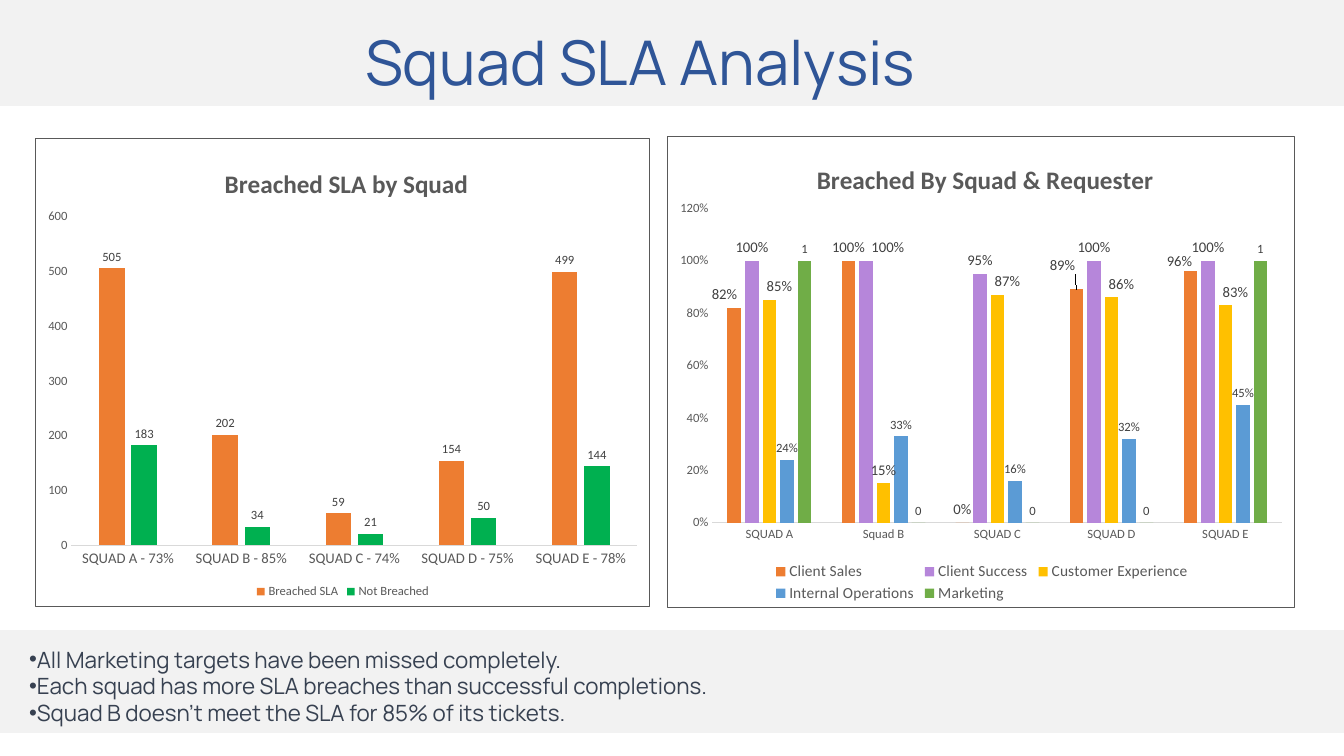
from lxml.etree import SubElement
from pptx import Presentation
from pptx.chart.data import CategoryChartData
from pptx.dml.color import RGBColor
from pptx.enum.chart import XL_CHART_TYPE as ChartType
from pptx.enum.chart import XL_LABEL_POSITION as LabelPosition
from pptx.enum.chart import XL_LEGEND_POSITION as LegendPosition
from pptx.enum.chart import XL_TICK_MARK as TickMark
from pptx.enum.shapes import MSO_SHAPE as Shape
from pptx.enum.text import MSO_ANCHOR as Anchor
from pptx.enum.text import MSO_AUTO_SIZE as AutoSize
from pptx.enum.text import PP_ALIGN as Align
from pptx.oxml import parse_xml
from pptx.oxml.ns import nsdecls, qn
from pptx.util import Pt

PX = 914400 / 100.8
COLORS = {
    "band": "F2F2F2", "footer": "BFBFBF", "title": "2F5597", "body": "374151",
    "chart_text": "595959", "label": "404040", "axis": "D9D9D9",
    "orange": "ED7D31", "green": "00B050", "purple": "B686DA",
    "yellow": "FFC000", "blue": "5B9BD5", "grass": "70AD47",
}


def style_font(font, size, color, name="Calibri", bold=False):
    font.size, font.name, font.bold = Pt(size), name, bold
    font.color.rgb = RGBColor.from_string(COLORS[color])


def layout_xml(target=None, **values):
    items = [f'<c:layoutTarget val="{target}"/>'] if target else []
    if target or "w" in values:
        items += ['<c:xMode val="edge"/>', '<c:yMode val="edge"/>']
    elif values.pop("edge", False):
        items += ['<c:xMode val="edge"/>', '<c:yMode val="edge"/>']
    items += [f'<c:{key} val="{value:.4f}"/>' for key, value in values.items()]
    return parse_xml(f'<c:layout {nsdecls("c")}><c:manualLayout>{"".join(items)}'
                     '</c:manualLayout></c:layout>')


presentation = Presentation()
presentation.slide_width = round(1344 * PX)
presentation.slide_height = round(756 * PX)
slide = presentation.slides.add_slide(presentation.slide_layouts[1])

for order, (top, height, color) in enumerate([(0, 106, "band"), (630, 103, "footer")]):
    band = slide.shapes.add_shape(Shape.RECTANGLE, 0, round(top * PX),
                                  presentation.slide_width, round(height * PX))
    band.shadow.inherit = False
    band.fill.solid()
    band.fill.fore_color.rgb = RGBColor.from_string(COLORS[color])
    band.line.fill.background()
    if color == "footer":
        fill_color = band._element.spPr.find(qn("a:solidFill"))[0]
        SubElement(fill_color, qn("a:alpha"), val="20000")
    slide.shapes._spTree.insert(2 + order, band._element)

title, body = slide.placeholders
texts = [
    (title, (355, 16, 635, 86), ["Squad SLA Analysis"], 44, "title", 55),
    (body, (19, 641, 1281, 92), [
        "All Marketing targets have been missed completely.",
        "Each squad has more SLA breaches than successful completions.",
        "Squad B doesn't meet the SLA for 85% of its tickets.",
    ], 16, "body", 19),
]
for shape, box, lines, size, color, spacing in texts:
    shape.left, shape.top, shape.width, shape.height = [round(value * PX) for value in box]
    frame = shape.text_frame
    frame.text = "\n".join(lines)
    frame.auto_size = AutoSize.NONE
    frame.word_wrap = shape is body
    frame.vertical_anchor = Anchor.TOP
    for paragraph in frame.paragraphs:
        paragraph.alignment = Align.LEFT
        paragraph.line_spacing = Pt(spacing)
        paragraph.space_before = Pt(0)
        style_font(paragraph.font, size, color, "Manrope")
        if shape is body:
            properties = paragraph._p.get_or_add_pPr()
            properties.set("marL", "0")
            properties.set("indent", "0")
            bullet = parse_xml(f'<a:buChar {nsdecls("a")} char="•"/>')
            properties.find(qn("a:defRPr")).addprevious(bullet)

charts = [
    {
        "title": "Breached By Squad & Requester", "title_at": (812, 157),
        "box": (667, 136, 628, 472), "plot": (712, 208, 571, 315),
        "legend": (770, 560, 424, 46), "legend_size": 11, "category_size": 9,
        "maximum": 1.2, "step": 0.2, "format": "0%",
        "categories": ["SQUAD A", "Squad B", "SQUAD C", "SQUAD D", "SQUAD E"],
        "series": [
            ("Client Sales", [0.82, 1, 0, 0.89, 0.96], "orange", 10.5, "0%",
             {0: (-10, 0), 3: (-14, -11), 4: (-11, 3)}),
            ("Client Success", [1, 1, 0.95, 1, 1], "purple", 10.5, "0%", {1: (22, 0)}),
            ("Customer Experience", [0.85, 0.15, 0.87, 0.86, 0.83], "yellow", 10.5, "0%",
             {point: (10, 0) for point in (0, 2, 3, 4)}),
            ("Internal Operations", [0.24, 0.33, 0.16, 0.32, 0.45], "blue", 9, "0%", {}),
            ("Marketing", [1, 0, 0, 0, 1], "grass", 9, "General", {}),
        ],
    },
    {
        "title": "Breached SLA by Squad", "title_at": (220, 161),
        "box": (35, 138, 615, 469), "plot": (71, 216, 567, 330),
        "legend": (252, 586, 182, 18), "legend_size": 9, "category_size": 10.5,
        "maximum": 600, "step": 100, "format": "General",
        "categories": ["SQUAD A - 73%", "SQUAD B - 85%", "SQUAD C - 74%",
                       "SQUAD D - 75%", "SQUAD E - 78%"],
        "series": [
            ("Breached SLA", [505, 202, 59, 154, 499], "orange", 9, "General", {}),
            ("Not Breached", [183, 34, 21, 50, 144], "green", 9, "General", {}),
        ],
    },
]
for details in charts:
    left, top, width, height = details["box"]
    data = CategoryChartData()
    data.categories = details["categories"]
    for name, values, *_ in details["series"]:
        data.add_series(name, values)
    chart = slide.shapes.add_chart(ChartType.COLUMN_CLUSTERED,
                                   *[round(value * PX) for value in details["box"]], data).chart
    style_font(chart.font, 10, "chart_text")

    chart.has_title = True
    chart.chart_title.include_in_layout = False
    heading = chart.chart_title.text_frame
    heading.text = details["title"]
    style_font(heading.paragraphs[0].font, 18, "chart_text", bold=True)

    chart.has_legend = True
    chart.legend.position = LegendPosition.BOTTOM
    chart.legend.include_in_layout = False
    style_font(chart.legend.font, details["legend_size"], "chart_text")

    category_axis, value_axis = chart.category_axis, chart.value_axis
    for axis, size in ((category_axis, details["category_size"]), (value_axis, 9)):
        axis.major_tick_mark = axis.minor_tick_mark = TickMark.NONE
        axis.has_major_gridlines = False
        style_font(axis.tick_labels.font, size, "chart_text")
    category_axis.format.line.color.rgb = RGBColor.from_string(COLORS["axis"])
    category_axis.format.line.width = Pt(0.75)
    value_axis.format.line.fill.background()
    value_axis.minimum_scale, value_axis.maximum_scale = 0, details["maximum"]
    value_axis.major_unit = details["step"]
    value_axis.tick_labels.number_format = details["format"]
    value_axis.tick_labels.number_format_is_linked = False

    plot = chart.plots[0]
    plot.gap_width, plot.overlap, plot.vary_by_categories = 219, -27, False
    for series, (_, _, color, size, number_format, shifts) in zip(plot.series, details["series"]):
        series.format.fill.solid()
        series.format.fill.fore_color.rgb = RGBColor.from_string(COLORS[color])
        labels = series.data_labels
        labels.show_value = True
        labels.position = LabelPosition.OUTSIDE_END
        labels.number_format = number_format
        labels.number_format_is_linked = False
        style_font(labels.font, size, "label")
        for point, (across, down) in shifts.items():
            label = series.points[point].data_label
            label.position = LabelPosition.OUTSIDE_END
            style_font(label.font, size, "label")
            index = series._element.xpath(f'.//c:dLbl/c:idx[@val="{point}"]')[0]
            index.addnext(parse_xml(f'<c:numFmt {nsdecls("c")} formatCode="{number_format}" '
                                    'sourceLinked="0"/>'))
            index.addnext(layout_xml(x=across / width, y=down / height))

    space = chart._chartSpace
    areas = [("c:title", "c:tx", None, details["title_at"]),
             ("c:plotArea", None, "inner", details["plot"]),
             ("c:legend", "c:legendPos", None, details["legend"])]
    for tag, before, target, (x, y, *extent) in areas:
        area = space.chart.find(qn(tag))
        for existing in area.findall(qn("c:layout")):
            area.remove(existing)
        values = {"x": (x - left) / width, "y": (y - top) / height}
        if extent:
            values.update(w=extent[0] / width, h=extent[1] / height)
        else:
            values["edge"] = True
        position = layout_xml(target, **values)
        if before:
            area.find(qn(before)).addnext(position)
        else:
            area.insert(0, position)
    space.chart.addnext(parse_xml(
        f'<c:spPr {nsdecls("c", "a")}><a:noFill/><a:ln w="9525"><a:solidFill>'
        f'<a:srgbClr val="{COLORS["chart_text"]}"/></a:solidFill></a:ln></c:spPr>'))

presentation.save("out.pptx")
